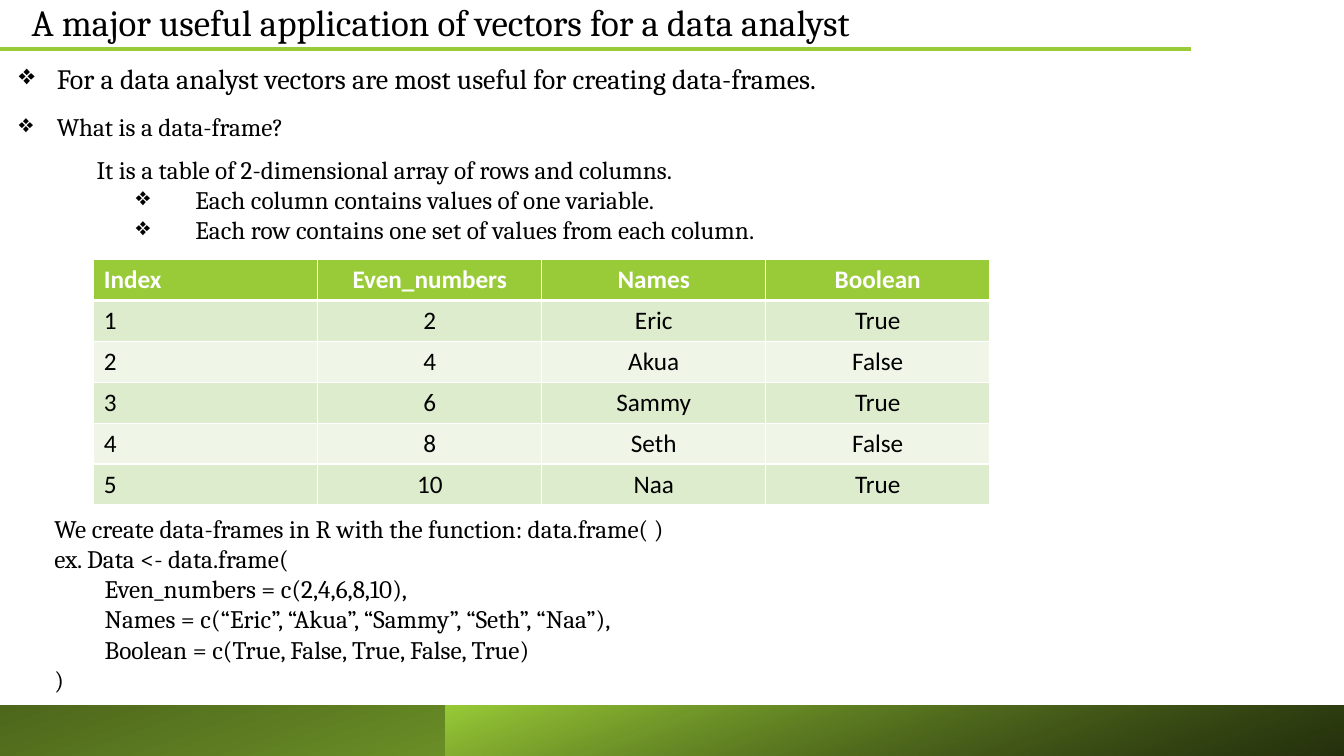
import pptx
import pptx.util
import pptx.dml.color
import pptx.enum.shapes
import pptx.enum.text
import pptx.oxml
import pptx.oxml.ns
from lxml import etree

Pt = pptx.util.Pt
qn = pptx.oxml.ns.qn
ALIGN = pptx.enum.text.PP_ALIGN
ANCHOR = pptx.enum.text.MSO_ANCHOR

# Content
GREEN, DARK, WHITE, BLACK = "99CB38", "4D671B", "FFFFFF", "000000"
BANDS = ("DEECCE", "EFF6E8")
TITLE = "A major useful application of vectors for a data analyst"

# Each box: place, size, then (text, bullet indent) paragraphs
TEXTS = [
    ((6.5, 40.3, 698.4, 31.7), 20,
     [("For a data analyst vectors are most useful for creating data-frames.", 27)]),
    ((6.5, 76.3, 484.6, 28.8), 18, [("What is a data-frame?", 27)]),
    ((61.9, 106.6, 830.9, 72.7), 18,
     [("It is a table of 2-dimensional array of rows and columns.", 0),
      ("Each column contains values of one variable.", 42.5),
      ("Each row contains one set of values from each column.", 42.5)]),
    ((31.7, 362.9, 745.2, 138.2), 18,
     [("We create data-frames in R with the function: data.frame( )", 0),
      ("ex. Data <- data.frame(", 0),
      ("\tEven_numbers = c(2,4,6,8,10),", 0),
      ("\tNames = c(“Eric”, “Akua”, “Sammy”, “Seth”, “Naa”),", 0),
      ("\tBoolean = c(True, False, True, False, True)", 0),
      (")", 0)]),
]
SUB_BULLET_LEFT = 28.1  # extra left margin of the nested bullets

TABLE = [
    ("Index", "Even_numbers", "Names", "Boolean"),
    ("1", "2", "Eric", "True"),
    ("2", "4", "Akua", "False"),
    ("3", "6", "Sammy", "True"),
    ("4", "8", "Seth", "False"),
    ("5", "10", "Naa", "True"),
]
TABLE_LEFT, TABLE_TOP, COL_W, ROW_H = 67, 185.5, 160, 29.2

# Footer bars: place, stop colours, clockwise angle, rotation
BARS = [
    ((0, 504, 960, 36), (GREEN, DARK), 110, 180),
    ((318, 504, 642, 36), (BLACK, GREEN), 290, 0),
]


def rgb(color):
    return pptx.dml.color.RGBColor.from_string(color)


def place(box):
    return [Pt(v) for v in box]


def add_run(p, text, **formats):
    r = p.add_run()
    r.text = text
    r.font.color.rgb = rgb(formats.pop("color"))
    for name, value in formats.items():
        setattr(r.font, name, value)


def add_box(box):
    tf = s.shapes.add_textbox(*place(box)).text_frame
    tf.word_wrap = True
    return tf


def add_bullet(p, left, hanging):
    pPr = p._p.get_or_add_pPr()
    pPr.set("marL", str(Pt(left)))
    pPr.set("indent", str(-Pt(hanging)))
    etree.SubElement(pPr, qn("a:buChar")).set("char", "❖")


def set_borders(cell, bottom):
    tcPr = cell._tc.get_or_add_tcPr()
    widths = {"lnL": 1, "lnR": 1, "lnT": 1, "lnB": bottom}
    for i, (side, width) in enumerate(widths.items()):
        ln = etree.Element(qn("a:" + side), w=str(Pt(width)))
        fill = etree.SubElement(ln, qn("a:solidFill"))
        etree.SubElement(fill, qn("a:srgbClr")).set("val", WHITE)
        tcPr.insert(i, ln)


prs = pptx.Presentation()
prs.slide_width, prs.slide_height = Pt(960), Pt(540)
s = prs.slides.add_slide(prs.slide_layouts[6])

# Footer bars
for box, colors, angle, rotation in BARS:
    sp = s.shapes.add_shape(pptx.enum.shapes.MSO_SHAPE.RECTANGLE, *place(box))
    sp.shadow.inherit = False
    sp.line.fill.background()
    sp.rotation = rotation
    sp._element.spPr.find(qn("a:xfrm")).set("flipH", "1")
    sp.fill.gradient()
    sp.fill.gradient_angle = 360 - angle
    for stop, color in zip(sp.fill.gradient_stops, colors):
        stop.color.rgb = rgb(color)
    for clr in sp._element.spPr.iter(qn("a:srgbClr")):
        if clr.get("val") == BLACK:
            etree.SubElement(clr, qn("a:alpha")).set("val", "76000")

# Title and its rule
tf = add_box((-9.4, -3.6, 648.7, 45.4))
tf.vertical_anchor = ANCHOR.MIDDLE
p = tf.paragraphs[0]
p.alignment, p.line_spacing = ALIGN.CENTER, 0.7
add_run(p, TITLE, size=Pt(26.4), name="Cambria", color=BLACK)

rule = s.shapes.add_connector(pptx.enum.shapes.MSO_CONNECTOR.STRAIGHT,
                              *place((0, 35.1, 850.5, 35.1)))
rule.line.color.rgb = rgb(GREEN)
rule.line.width = Pt(3)
etree.SubElement(rule._element.spPr, qn("a:effectLst"))

# Text boxes
for box, size, paragraphs in TEXTS:
    tf = add_box(box)
    for i, (text, hanging) in enumerate(paragraphs):
        p = tf.add_paragraph() if i else tf.paragraphs[0]
        if hanging:
            add_bullet(p, hanging + (SUB_BULLET_LEFT if i else 0), hanging)
        add_run(p, text, size=Pt(size), name="Cambria", color=BLACK)

# Data-frame table
rows, cols = len(TABLE), len(TABLE[0])
table = s.shapes.add_table(rows, cols, *place(
    (TABLE_LEFT, TABLE_TOP, cols * COL_W, rows * ROW_H))).table
for i, values in enumerate(TABLE):
    table.rows[i].height = Pt(ROW_H)
    header = i == 0
    for j, value in enumerate(values):
        cell = table.cell(i, j)
        cell.fill.solid()
        cell.fill.fore_color.rgb = rgb(GREEN if header else BANDS[(i - 1) % 2])
        set_borders(cell, 3 if header else 1)
        p = cell.text_frame.paragraphs[0]
        p.alignment = ALIGN.CENTER if j else ALIGN.LEFT
        add_run(p, value, size=Pt(18), name="Calibri", bold=header,
                color=WHITE if header else BLACK)

prs.save("out.pptx")
